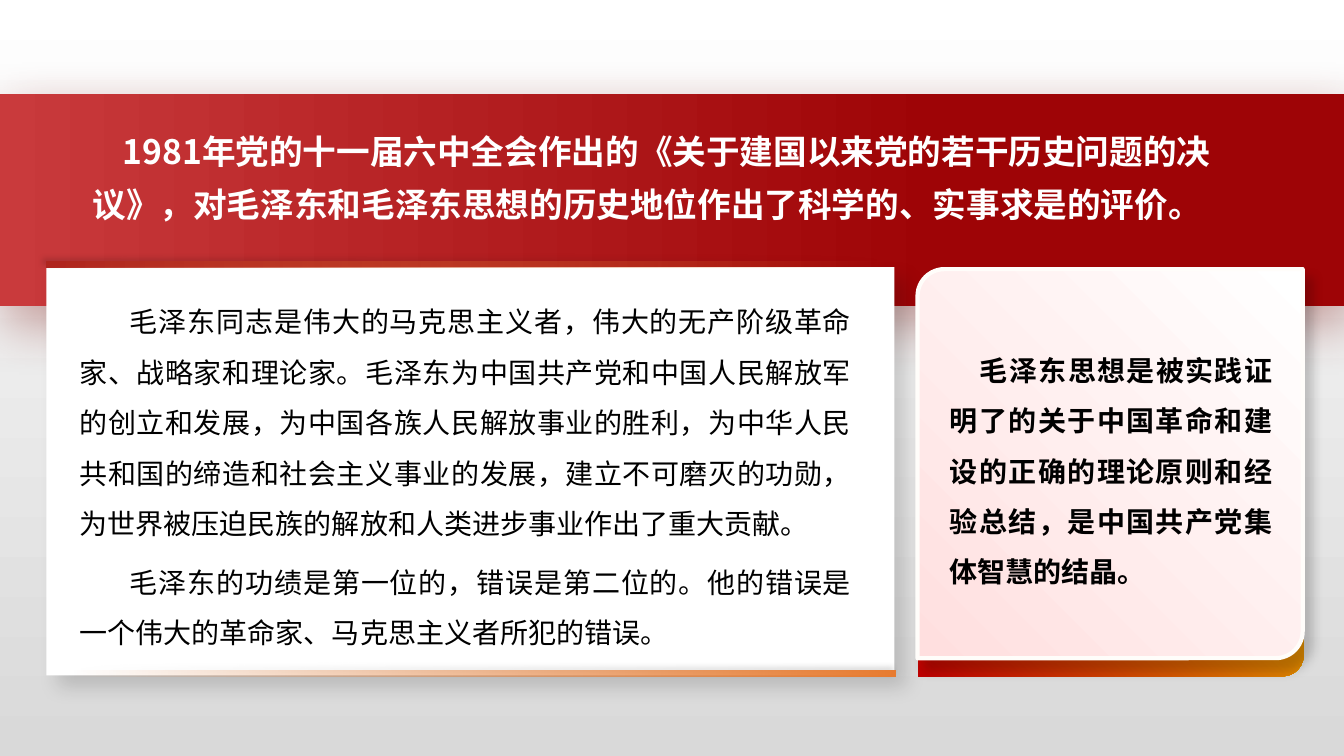
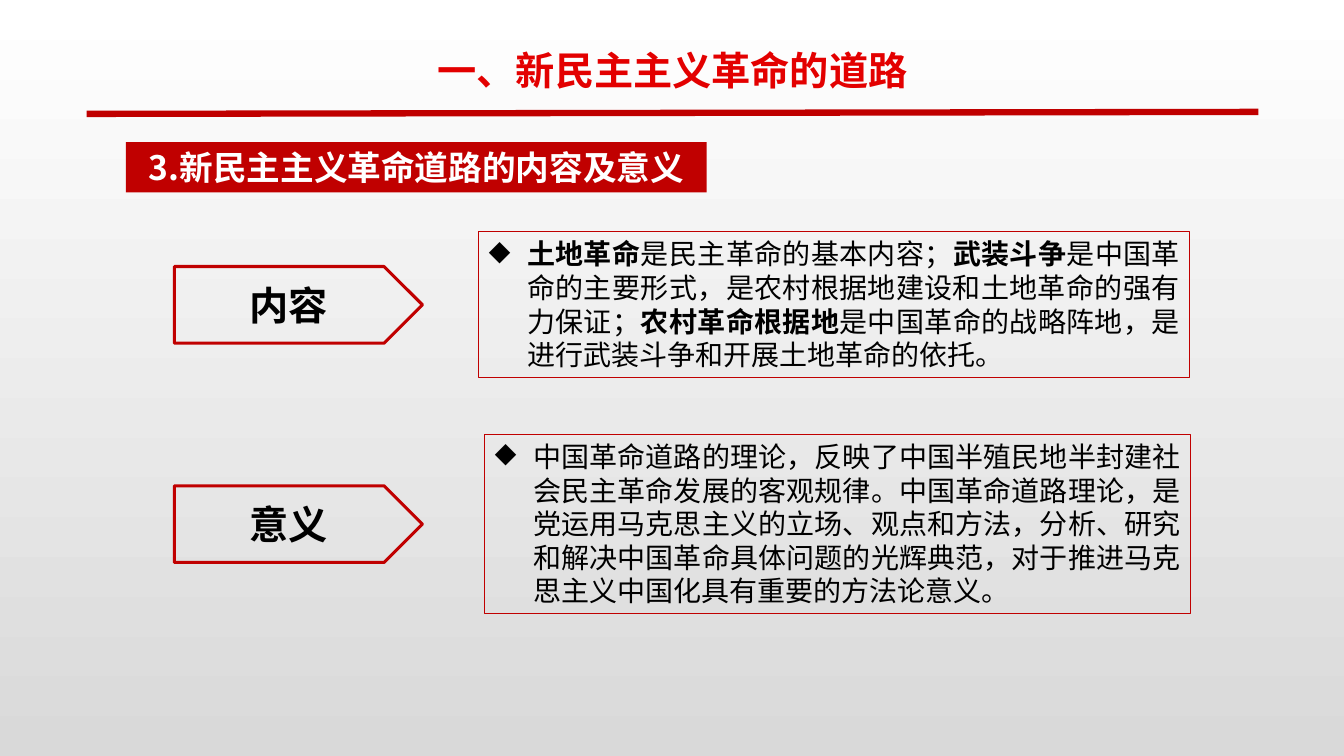
from lxml.etree import SubElement
from pptx import Presentation
from pptx.dml.color import RGBColor
from pptx.enum.shapes import MSO_CONNECTOR, MSO_SHAPE
from pptx.enum.text import MSO_ANCHOR, MSO_AUTO_SIZE, PP_ALIGN
from pptx.oxml.ns import qn
from pptx.util import Inches, Pt

FONT = "Noto Sans CJK SC"
WIDTH, HEIGHT = 13.33, 7.5
COLORS = dict(white="FFFFFF", grey="D9D9D9", black="000000", red="C00000",
              title="E30000", band="C93A3C", band_dark="9E0406", band_shadow="801B16",
              brick="B0261F", orange="E97C30", yellow="FFFF00", pink="FFDFDF", cream="FFFDFA")

# Content
VERDICT = "1981年党的十一届六中全会作出的《关于建国以来党的若干历史问题的决议》，对毛泽东和毛泽东思想的历史地位作出了科学的、实事求是的评价。"
ASSESSMENT = [
    "毛泽东同志是伟大的马克思主义者，伟大的无产阶级革命家、战略家和理论家。毛泽东为中国共产党和中国人民解放军的创立和发展，为中国各族人民解放事业的胜利，为中华人民共和国的缔造和社会主义事业的发展，建立不可磨灭的功勋，为世界被压迫民族的解放和人类进步事业作出了重大贡献。",
    "毛泽东的功绩是第一位的，错误是第二位的。他的错误是一个伟大的革命家、马克思主义者所犯的错误。",
]
THOUGHT = "毛泽东思想是被实践证明了的关于中国革命和建设的正确的理论原则和经验总结，是中国共产党集体智慧的结晶。"
CHAPTER = "一、新民主主义革命的道路"
SECTION = "3.新民主主义革命道路的内容及意义"
# Label, (left, top, width, height) of the explanation, runs as (text, bold)
TOPICS = [
    ("内容", (4.75, 2.3, 7.05, 1.45), [
        ("土地革命", True), ("是民主革命的基本内容；", False),
        ("武装斗争", True), ("是中国革命的主要形式，是农村根据地建设和土地革命的强有力保证；", False),
        ("农村革命根据地", True), ("是中国革命的战略阵地，是进行武装斗争和开展土地革命的依托。", False)]),
    ("意义", (4.81, 4.31, 7, 1.78), [
        ("中国革命道路的理论，反映了中国半殖民地半封建社会民主革命发展的客观规律。中国革命道路理论，是党运用马克思主义的立场、观点和方法，分析、研究和解决中国革命具体问题的光辉典范，对于推进马克思主义中国化具有重要的方法论意义。", False)]),
]


def rgb(name):
    return RGBColor.from_string(COLORS[name])


def set_gradient(fill, start, end, clockwise, end_position=1.0):
    fill.gradient()
    fill.gradient_angle = -clockwise % 360
    for stop, name, position in zip(fill.gradient_stops, (start, end), (0, end_position)):
        stop.color.rgb, stop.position = rgb(name), position


def set_shadow(shape, color, alpha, blur, distance, direction):
    effects = shape._element.spPr.find(qn("a:effectLst"))
    shadow = SubElement(effects, qn("a:outerShdw"), blurRad=str(Pt(blur)), dist=str(Pt(distance)),
                        dir=str(direction * 60000), algn="ctr", rotWithShape="0")
    tint = SubElement(shadow, qn("a:srgbClr"), val=COLORS[color])
    SubElement(tint, qn("a:alpha"), val=str(alpha * 1000))


def add_panel(slide, box, kind=MSO_SHAPE.RECTANGLE, fill=None, gradient=None, clear_stop=None,
              line=None, shadow=None, corner=None):
    panel = slide.shapes.add_shape(kind, *map(Inches, box))
    panel.shadow.inherit = False
    if corner is not None:
        panel.adjustments[0], panel.adjustments[1] = corner, 0
    if gradient:
        set_gradient(panel.fill, *gradient)
    elif fill:
        panel.fill.solid()
        panel.fill.fore_color.rgb = rgb(fill)
    else:
        panel.fill.background()
    if clear_stop is not None:
        tints = list(panel._element.spPr.iter(qn("a:srgbClr")))
        SubElement(tints[clear_stop], qn("a:alpha"), val="0")
    if line:
        panel.line.color.rgb, panel.line.width = rgb(line[0]), Pt(line[1])
    else:
        panel.line.fill.background()
    if shadow:
        set_shadow(panel, *shadow)
    return panel


def write(shape, paragraphs, size=20, color="black", bold=False, align=PP_ALIGN.JUSTIFY,
          anchor=MSO_ANCHOR.TOP, grow=True, spacing=None, gap=0, indent=0, bullet=None):
    """Each paragraph is a string or a list of (text, bold) runs."""
    frame = shape.text_frame
    frame.word_wrap, frame.vertical_anchor = True, anchor
    frame.auto_size = MSO_AUTO_SIZE.SHAPE_TO_FIT_TEXT if grow else MSO_AUTO_SIZE.NONE
    for index, content in enumerate(paragraphs):
        paragraph = frame.add_paragraph() if index else frame.paragraphs[0]
        paragraph.alignment = align
        if spacing:
            paragraph.line_spacing = spacing
        if index:
            paragraph.space_before = Pt(gap)
        properties = paragraph._p.get_or_add_pPr()
        if indent:
            properties.set("indent", str(Inches(indent)))
        if bullet:
            properties.set("marL", str(Inches(-indent)))
            SubElement(properties, qn("a:buChar"), char=bullet)
        for text, strong in [(content, bold)] if isinstance(content, str) else content:
            run = paragraph.add_run()
            run.text = text
            run.font.size, run.font.bold, run.font.name = Pt(size), strong, FONT
            run.font.color.rgb = rgb(color)
            SubElement(run._r.get_or_add_rPr(), qn("a:ea"), typeface=FONT)


def add_label(slide, box, text, **style):
    write(slide.shapes.add_textbox(*map(Inches, box)), [text], **style)


def build_evaluation(slide):
    # Red band
    add_panel(slide, (0, 0.93, WIDTH, 2.11), gradient=("band", "band_dark", 0, 0.7),
              shadow=("band_shadow", 40, 38, 13, 70))
    # White card with fading edges
    edge_shadow = ("black", 15, 4, 3, 225)
    add_panel(slide, (0.46, 2.65, 8.41, 4.05), fill="white", shadow=("black", 15, 14, 12, 45))
    add_panel(slide, (0.46, 2.59, 8.41, 0.06), gradient=("brick", "orange", 0),
              clear_stop=1, shadow=edge_shadow)
    add_panel(slide, (0.69, 6.65, 8.19, 0.06), gradient=("orange", "orange", 0),
              clear_stop=0, shadow=edge_shadow)
    write(add_panel(slide, (0.69, 2.81, 7.85, 3.72), fill="white"), ASSESSMENT,
          spacing=1.5, gap=6, indent=0.5)
    add_label(slide, (0.82, 1.11, 11.7, 1.18), VERDICT, size=24, color="white", bold=True,
              align=PP_ALIGN.LEFT, anchor=MSO_ANCHOR.MIDDLE, grow=False, spacing=1.3, indent=0.3)
    # Pink card over its coloured base
    diagonal = MSO_SHAPE.ROUND_2_DIAG_RECTANGLE
    add_panel(slide, (9.11, 3.2, 3.82, 3.51), diagonal, gradient=("yellow", "red", 135), corner=0.06)
    add_panel(slide, (9.1, 2.67, 3.82, 3.86), diagonal, gradient=("white", "pink", 135),
              corner=0.07, line=("cream", 3), shadow=("black", 20, 8, 9, 52))
    add_label(slide, (9.32, 3.29, 3.4, 2.63), THOUGHT, bold=True, spacing=1.5, indent=0.3)


def build_road(slide):
    # Topics: arrow label centred on its explanation
    arrow_height = 0.76
    for name, box, runs in TOPICS:
        write(add_panel(slide, box, line=("red", 0.75)), [runs], indent=-0.38, bullet="◆")
        arrow_top = box[1] + (box[3] - arrow_height) / 2
        arrow = add_panel(slide, (1.73, arrow_top, 2.46, arrow_height), MSO_SHAPE.PENTAGON,
                          line=("red", 2.25))
        write(arrow, [name], size=28, bold=True, align=PP_ALIGN.CENTER,
              anchor=MSO_ANCHOR.MIDDLE, grow=False)
    # Headings and rule
    add_label(slide, (3.45, 0.18, 6.44, 0.81), CHAPTER, size=28, color="title", bold=True,
              align=PP_ALIGN.CENTER, spacing=1.5)
    write(add_panel(slide, (1.25, 1.41, 5.76, 0.5), fill="red"), [SECTION],
          size=24, color="white", bold=True, align=PP_ALIGN.CENTER)
    rule = slide.shapes.add_connector(MSO_CONNECTOR.STRAIGHT, *map(Inches, (0.86, 1.13, 12.48, 1.11)))
    rule.line.color.rgb, rule.line.width = rgb("red"), Pt(4.5)
    SubElement(rule._element.spPr, qn("a:effectLst"))


def main():
    deck = Presentation()
    deck.slide_width, deck.slide_height = Inches(WIDTH), Inches(HEIGHT)
    set_gradient(deck.slide_master.background.fill, "white", "grey", 90)
    for build in (build_evaluation, build_road):
        build(deck.slides.add_slide(deck.slide_layouts[6]))
    deck.save("out.pptx")


if __name__ == "__main__":
    main()
